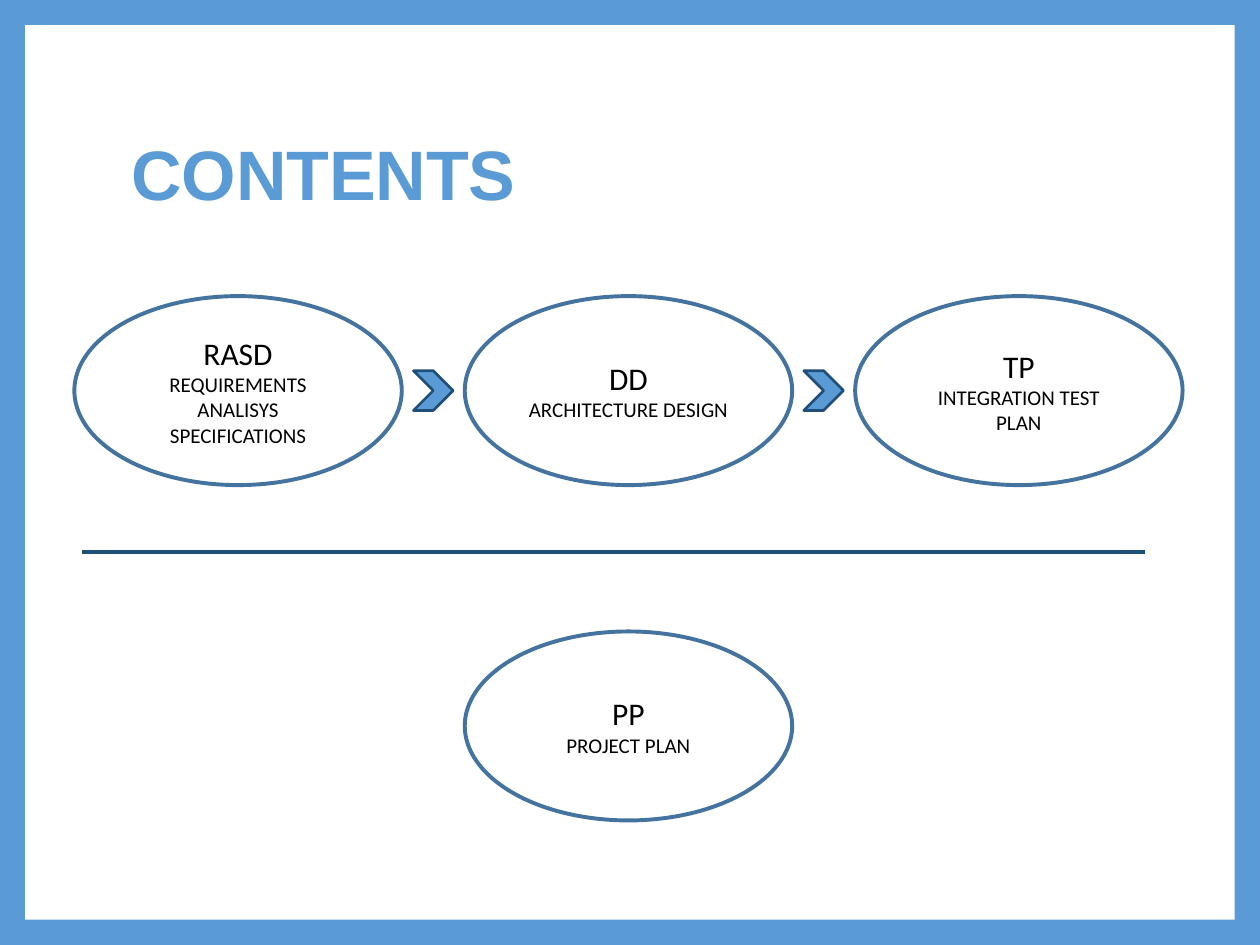
from pptx import Presentation
from pptx.dml.color import RGBColor
from pptx.enum.shapes import MSO_CONNECTOR, MSO_SHAPE
from pptx.enum.text import MSO_ANCHOR, PP_ALIGN
from pptx.oxml.ns import qn
from pptx.util import Cm, Pt
from lxml.etree import SubElement

BLUE, OUTLINE, NAVY = "5B9BD5", "43739E", "1F4E79"


def color(hex_value):
    return RGBColor.from_string(hex_value)


def add_run(paragraph, text, font_name, size, hex_value):
    run = paragraph.add_run()
    run.text = text
    run.font.name = font_name
    run.font.size = Pt(size)
    run.font.color.rgb = color(hex_value)
    return run


deck = Presentation()
deck.slide_width, deck.slide_height = Cm(25.4), Cm(19.05)
slide = deck.slides.add_slide(deck.slide_layouts[5])
shapes = slide.shapes

# Blue background with a white panel behind everything
slide.background.fill.solid()
slide.background.fill.fore_color.rgb = color(BLUE)
panel = shapes.add_shape(MSO_SHAPE.RECTANGLE, Cm(0.51), Cm(0.51), Cm(24.38), Cm(18.03))
panel.shadow.inherit = False
panel.fill.solid()
panel.fill.fore_color.rgb = color("FFFFFF")
panel.line.fill.background()
shapes.title._element.addprevious(panel._element)

# Title
title = shapes.title
title.left, title.top, title.width, title.height = Cm(2.39), Cm(1.7), Cm(20.57), Cm(3.76)
title.text_frame.vertical_anchor = MSO_ANCHOR.MIDDLE
heading = title.text_frame.paragraphs[0]
heading.alignment = PP_ALIGN.LEFT
heading.line_spacing = 0.9
add_run(heading, "CONTENTS", "Arial", 40, BLUE).font.bold = True

# Documents: three in a row, the project plan below the middle one
left, pitch = 1.5, 7.87
width, height = 6.6, 3.81
row_top, plan_top = 5.97, 12.73
documents = [
    ("RASD", "REQUIREMENTS ANALISYS SPECIFICATIONS", 0, row_top),
    ("DD", "ARCHITECTURE DESIGN", 1, row_top),
    ("TP", "INTEGRATION TEST PLAN", 2, row_top),
    ("PP", "PROJECT PLAN", 1, plan_top),
]
for acronym, meaning, column, top in documents:
    document = shapes.add_shape(
        MSO_SHAPE.OVAL, Cm(left + column * pitch), Cm(top), Cm(width), Cm(height))
    document.shadow.inherit = False
    document.fill.background()
    document.line.color.rgb = color(OUTLINE)
    document.line.width = Pt(2.25)
    frame = document.text_frame
    frame.word_wrap = True
    frame.vertical_anchor = MSO_ANCHOR.MIDDLE
    for paragraph, text, size in (
        (frame.paragraphs[0], acronym, 18),
        (frame.add_paragraph(), meaning, 12),
    ):
        paragraph.alignment = PP_ALIGN.CENTER
        add_run(paragraph, text, "Calibri", size, "000000")

# Chevrons centred in the gaps of the row
chevron_size = 0.8
for column in range(2):
    gap_center = left + column * pitch + (width + pitch) / 2
    chevron = shapes.add_shape(
        MSO_SHAPE.CHEVRON,
        Cm(gap_center - chevron_size / 2),
        Cm(row_top + (height - chevron_size) / 2),
        Cm(chevron_size), Cm(chevron_size))
    chevron.shadow.inherit = False
    chevron.fill.solid()
    chevron.fill.fore_color.rgb = color(BLUE)
    chevron.line.color.rgb = color(NAVY)
    chevron.line.width = Pt(1.5)

# Divider between the row and the project plan
divider = shapes.add_connector(
    MSO_CONNECTOR.STRAIGHT, Cm(1.65), Cm(11.13), Cm(23.09), Cm(11.13))
divider.line.color.rgb = color(NAVY)
divider.line.width = Pt(2.25)
SubElement(divider._element.spPr, qn("a:effectLst"))

deck.save("out.pptx")
